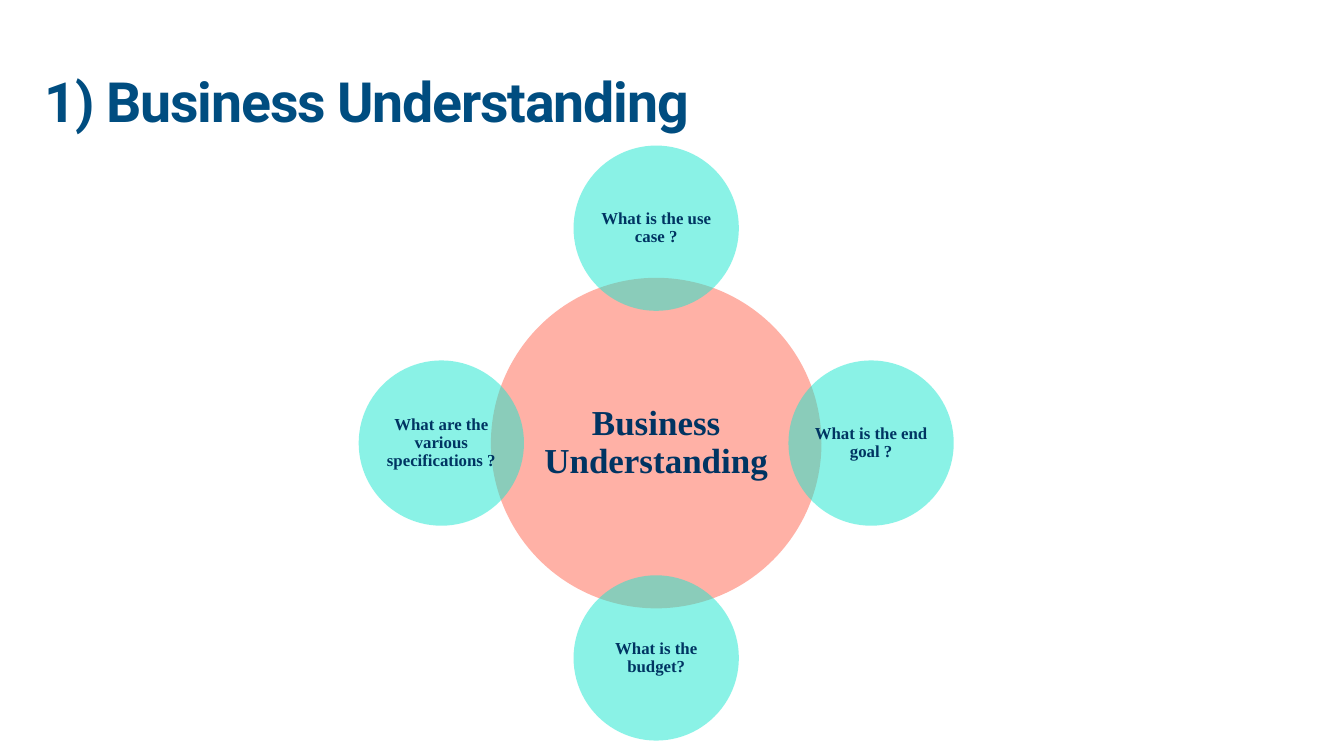
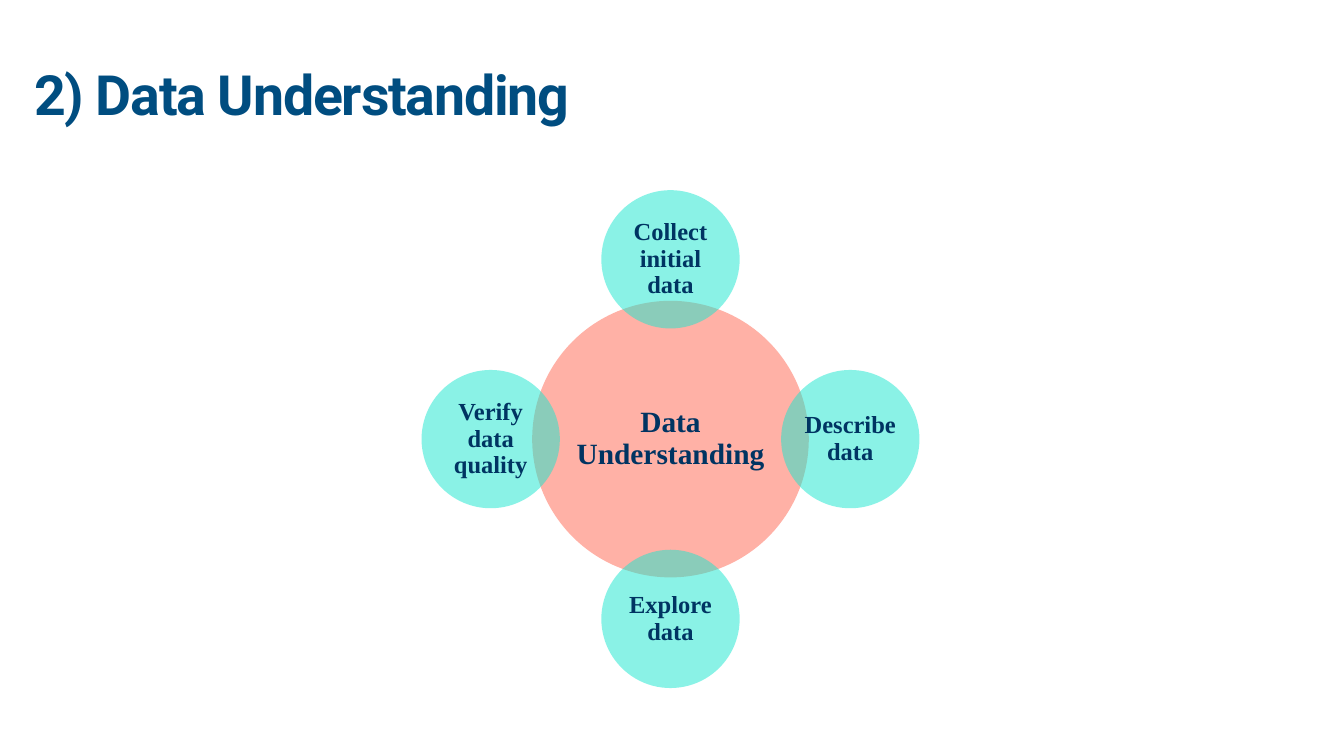
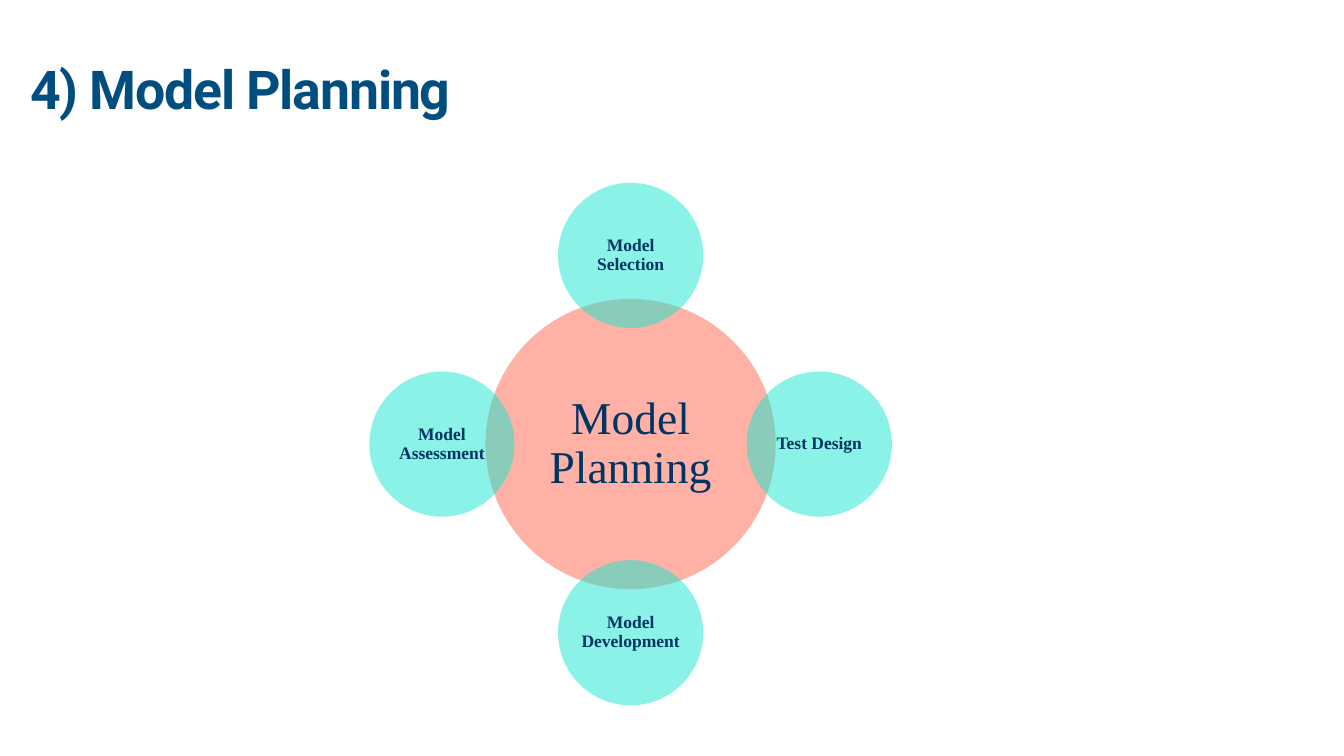
"""Build three slides that each show a hub circle with four satellites."""
import math
from dataclasses import dataclass

from lxml import etree
from pptx import Presentation
from pptx import util as u
from pptx.dml.color import RGBColor
from pptx.enum import shapes, text
from pptx.oxml.ns import qn


@dataclass(frozen=True)
class Theme:
    """Shared colours, fonts, type sizes and proportions."""
    background: str = "FFFFFF"
    title_color: str = "004D80"
    text_color: str = "003462"
    hub_color: str = "FF644E"
    satellite_color: str = "16E7CF"
    opacity: int = 50
    title_font: str = "Roboto"
    body_font: str = "Times New Roman"
    title_size: float = 79.2
    small_title_size: float = 76.5
    title_tracking: float = -1.7
    title_spacing: float = 1.5
    body_spacing: float = 0.9
    satellite_ratio: float = 0.5
    orbit_ratio: float = 0.65


THEME = Theme()


@dataclass(frozen=True)
class Topic:
    """Content and geometry of one slide, with lengths in centimetres."""
    title: str
    title_at: tuple
    hub: str
    center: tuple
    diameter: float
    hub_size: float
    satellites: tuple
    satellite_size: float
    hub_bold: bool = True
    title_size: float = THEME.title_size


TOPICS = (
    Topic("1) Business Understanding", (2.11, 1.57),
          "Business Understanding", (33.07, 22.33), 16.66, 50,
          ("What is the use case ?", "What is the end goal ?",
           "What is the budget?", "What are the various specifications ?"), 24),
    Topic("2) Data Understanding", (1.57, 1.19),
          "Data Understanding", (33.79, 22.13), 13.94, 42,
          ("Collect initial data", "Describe data",
           "Explore data", "Verify data quality"), 35),
    Topic("4) Model Planning", (1.37, 1.07),
          "Model Planning", (31.78, 22.38), 14.63, 65,
          ("Model Selection", "Test Design",
           "Model Development", "Model Assessment"), 25,
          hub_bold=False, title_size=THEME.small_title_size),
)


def write_text(box, content, *, size, font=THEME.body_font, color=THEME.text_color,
               bold=True, align=text.PP_ALIGN.CENTER, anchor=text.MSO_ANCHOR.MIDDLE,
               spacing=THEME.body_spacing, inset=0, tracking=0):
    """Write one formatted paragraph into a box."""
    frame = box.text_frame
    frame.word_wrap = True
    frame.vertical_anchor = anchor
    frame.margin_left = frame.margin_right = inset
    frame.margin_top = frame.margin_bottom = inset
    para = frame.paragraphs[0]
    para.alignment = align
    para.line_spacing = spacing
    span = para.add_run()
    span.text = content
    span.font.name = font
    span.font.size = u.Pt(size)
    span.font.bold = bold
    span.font.color.rgb = RGBColor.from_string(color)
    if tracking:
        span._r.get_or_add_rPr().set("spc", str(round(tracking * 100)))


def add_title(page, topic):
    """Add the slide title."""
    left, top = topic.title_at
    box = page.shapes.add_textbox(u.Cm(left), u.Cm(top), u.Cm(61.04), u.Cm(3.99))
    write_text(box, topic.title, size=topic.title_size, font=THEME.title_font,
               color=THEME.title_color, align=text.PP_ALIGN.LEFT,
               anchor=text.MSO_ANCHOR.TOP, spacing=THEME.title_spacing,
               inset=u.Cm(0.15), tracking=THEME.title_tracking)


def add_circle(page, label, center, diameter, *, fill, size, bold=True):
    """Add a translucent labelled circle around a centre point."""
    left, top = (u.Cm(middle - diameter / 2) for middle in center)
    circle = page.shapes.add_shape(shapes.MSO_SHAPE.OVAL, left, top,
                                   u.Cm(diameter), u.Cm(diameter))
    circle.shadow.inherit = False
    circle.line.fill.background()
    circle.fill.solid()
    circle.fill.fore_color.rgb = RGBColor.from_string(fill)
    tint = circle._element.spPr.find(qn("a:solidFill")).find(qn("a:srgbClr"))
    etree.SubElement(tint, qn("a:alpha")).set("val", str(THEME.opacity * 1000))
    write_text(circle, label, size=size, bold=bold, inset=u.Pt(size / 10))


def add_radial(page, topic):
    """Add the hub and its satellites, clockwise from the top."""
    add_circle(page, topic.hub, topic.center, topic.diameter,
               fill=THEME.hub_color, size=topic.hub_size, bold=topic.hub_bold)
    orbit = topic.diameter * THEME.orbit_ratio
    x, y = topic.center
    for index, label in enumerate(topic.satellites):
        angle = math.tau * index / len(topic.satellites)
        center = (x + orbit * math.sin(angle), y - orbit * math.cos(angle))
        add_circle(page, label, center, topic.diameter * THEME.satellite_ratio,
                   fill=THEME.satellite_color, size=topic.satellite_size)


def add_page(deck):
    """Add a blank slide with the shared background."""
    page = deck.slides.add_slide(deck.slide_layouts[6])
    page.background.fill.solid()
    page.background.fill.fore_color.rgb = RGBColor.from_string(THEME.background)
    return page


def main():
    """Build and save the deck."""
    deck = Presentation()
    deck.slide_width, deck.slide_height = u.Cm(67.73), u.Cm(38.1)
    for topic in TOPICS:
        page = add_page(deck)
        add_title(page, topic)
        add_radial(page, topic)
    deck.save("out.pptx")


if __name__ == "__main__":
    main()
